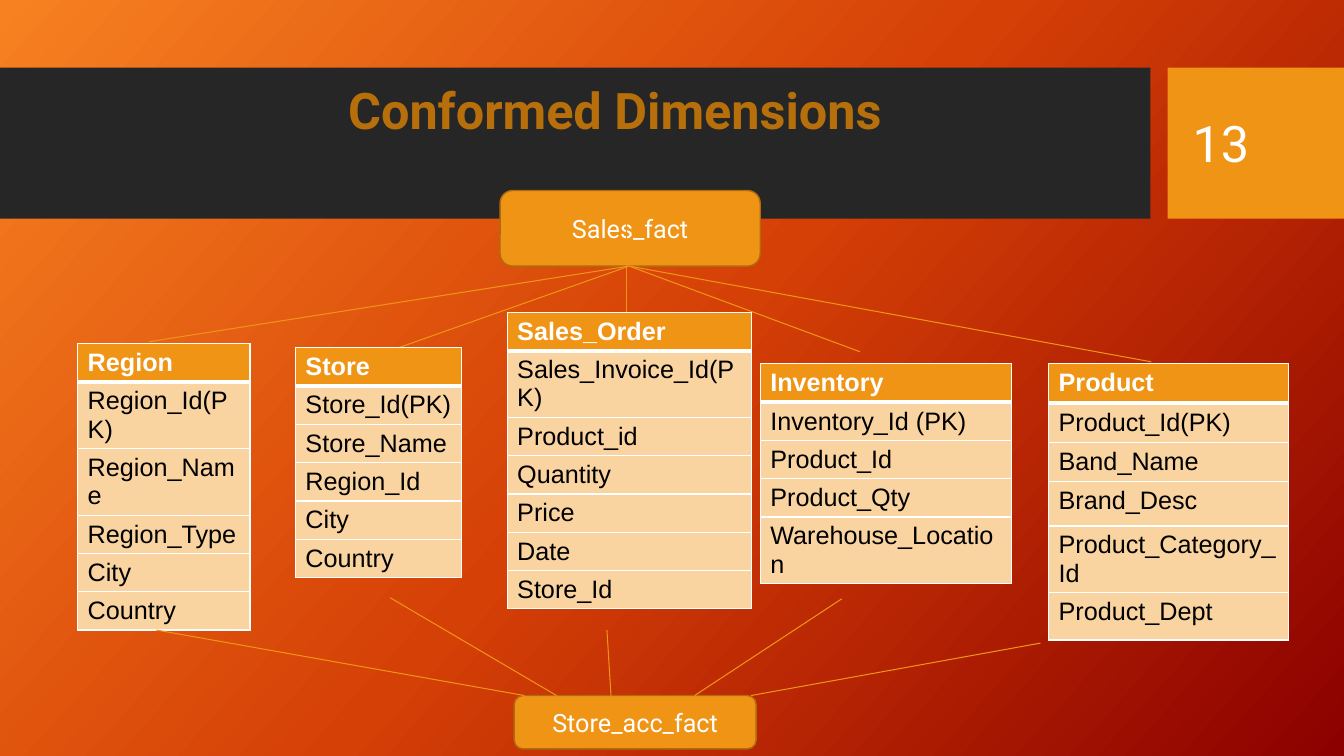
from lxml import etree
from pptx import Presentation
from pptx.dml.color import RGBColor
from pptx.enum.shapes import MSO_CONNECTOR, MSO_SHAPE
from pptx.enum.text import MSO_ANCHOR, PP_ALIGN
from pptx.oxml import parse_xml
from pptx.oxml.ns import nsdecls, qn
from pptx.util import Inches, Pt

COLORS = {
    "amber": "F09415", "amber_line": "AF6C0F", "title": "B76F0B", "band": "262626",
    "cell": "F9D3A0", "white": "FFFFFF", "black": "000000",
}
GRADIENT = [(0, "F78121"), (50, "D54006"), (100, "8C0000")]
GRADIENT_ANGLE = 42
ROW, WRAPPED_ROW = 0.38, 0.66

# left, top, width, column names (header first), heights of rows that differ
DIMENSIONS = [
    (0.77, 3.41, 1.71,
     ["Region", "Region_Id(PK)", "Region_Name", "Region_Type", "City", "Country"],
     {1: WRAPPED_ROW, 2: WRAPPED_ROW}),
    (2.93, 3.45, 1.65,
     ["Store", "Store_Id(PK)", "Store_Name", "Region_Id", "City", "Country"], {}),
    (10.4, 3.61, 2.38,
     ["Product", "Product_Id(PK)", "Band_Name", "Brand_Desc", "Product_Category_Id",
      "Product_Dept"],
     {0: 0.39, 1: 0.39, 2: 0.39, 3: 0.44, 4: WRAPPED_ROW, 5: 0.47}),
    (7.54, 3.61, 2.49,
     ["Inventory", "Inventory_Id (PK)", "Product_Id", "Product_Qty", "Warehouse_Location"],
     {4: WRAPPED_ROW}),
    (5.03, 3.1, 2.42,
     ["Sales_Order", "Sales_Invoice_Id(PK)", "Product_id", "Quantity", "Price", "Date",
      "Store_Id"],
     {1: WRAPPED_ROW}),
]
SALES_HUB = (6.24, 2.64)
SALES_LINKS = [
    (SALES_HUB, (1.48, 3.39)),
    (SALES_HUB, (3.84, 3.49)),
    ((6.21, 1.93), (6.21, 3.1)),
    (SALES_HUB, (8.53, 3.49)),
    (SALES_HUB, (11.42, 3.59)),
]
STORE_LINKS = [
    ((1.55, 6.25), (5.2, 6.9)),
    ((3.87, 5.93), (5.52, 6.9)),
    ((6.02, 6.25), (6.06, 6.9)),
    ((10.32, 6.38), (7.45, 6.9)),
    ((8.35, 5.94), (6.89, 6.9)),
]


def rgb(name):
    return RGBColor.from_string(COLORS[name])


def set_background(slide):
    stops = "".join(
        f'<a:gs pos="{position * 1000}"><a:srgbClr val="{color}"/></a:gs>'
        for position, color in GRADIENT)
    slide.element.cSld.insert(0, parse_xml(
        f'<p:bg {nsdecls("p", "a")}><p:bgPr><a:gradFill rotWithShape="1">'
        f'<a:gsLst>{stops}</a:gsLst><a:lin ang="{GRADIENT_ANGLE * 60000}" scaled="0"/>'
        '</a:gradFill><a:effectLst/></p:bgPr></p:bg>'))


def write(frame, text, size, color, font="Roboto", bold=False, align=PP_ALIGN.LEFT):
    frame.word_wrap = True
    frame.vertical_anchor = MSO_ANCHOR.MIDDLE
    paragraph = frame.paragraphs[0]
    paragraph.text = text
    paragraph.alignment = align
    style_font(paragraph.font, size, color, font, bold)


def style_font(font, size, color, name, bold):
    font.name = name
    font.size = Pt(size)
    font.bold = bold
    font.color.rgb = rgb(color)


def add_text(slide, box, text, **style):
    shape = slide.shapes.add_textbox(*map(Inches, box))
    write(shape.text_frame, text, **style)


def add_block(slide, kind, box, fill):
    shape = slide.shapes.add_shape(kind, *map(Inches, box))
    shape.shadow.inherit = False
    shape.fill.solid()
    shape.fill.fore_color.rgb = rgb(fill)
    shape.line.fill.background()
    return shape


def add_fact(slide, box, text):
    shape = add_block(slide, MSO_SHAPE.ROUNDED_RECTANGLE, box, "amber")
    shape.line.color.rgb = rgb("amber_line")
    shape.line.width = Pt(1)
    write(shape.text_frame, text, size=18, color="white", align=PP_ALIGN.CENTER)


def add_links(slide, links):
    for start, end in links:
        link = slide.shapes.add_connector(
            MSO_CONNECTOR.STRAIGHT, *map(Inches, start + end))
        link.line.color.rgb = rgb("amber")
        link.line.width = Pt(0.75)
        etree.SubElement(link.element.spPr, qn("a:effectLst"))


def set_borders(cell, widths):
    """Draw white borders; widths gives points for left, right, top, bottom."""
    properties = cell._tc.get_or_add_tcPr()
    for side, width in zip("LRTB", widths):
        properties.append(parse_xml(
            f'<a:ln{side} {nsdecls("a")} w="{Pt(width)}"><a:solidFill>'
            f'<a:srgbClr val="{COLORS["white"]}"/></a:solidFill></a:ln{side}>'))


def add_dimension(slide, left, top, width, names, heights):
    table = slide.shapes.add_table(
        len(names), 1, Inches(left), Inches(top), Inches(width),
        Inches(ROW * len(names))).table
    for index, name in enumerate(names):
        header = index == 0
        table.rows[index].height = Inches(heights.get(index, ROW))
        cell = table.cell(index, 0)
        # A tight bottom margin keeps each row at its set height.
        cell.margin_top, cell.margin_bottom = Inches(0.05), Inches(0.01)
        cell.text = name
        # Row heights are measured from the run font.
        style_font(cell.text_frame.paragraphs[0].runs[0].font, 18,
                   "white" if header else "black", "Arial", header)
        set_borders(cell, (1, 1, 3 if index == 1 else 1, 3 if header else 1))
        cell.fill.solid()
        cell.fill.fore_color.rgb = rgb("amber" if header else "cell")


def main():
    presentation = Presentation()
    presentation.slide_width = Inches(13.33)
    presentation.slide_height = Inches(7.5)
    slide = presentation.slides.add_slide(presentation.slide_layouts[6])

    set_background(slide)
    add_block(slide, MSO_SHAPE.RECTANGLE, (0, 0.67, 11.41, 1.5), "band")
    add_block(slide, MSO_SHAPE.RECTANGLE, (11.58, 0.67, 1.75, 1.5), "amber")
    add_text(slide, (0.35, 0.71, 11.5, 0.75), "Conformed Dimensions", size=36,
             color="title", bold=True, align=PP_ALIGN.CENTER)
    add_text(slide, (11.73, 0.82, 1.26, 1.19), "13", size=36, color="white")
    add_fact(slide, (4.96, 1.89, 2.58, 0.75), "Sales_fact")
    add_links(slide, SALES_LINKS)
    add_fact(slide, (5.1, 6.9, 2.4, 0.53), "Store_acc_fact")
    for dimension in DIMENSIONS:
        add_dimension(slide, *dimension)
    add_links(slide, STORE_LINKS)
    presentation.save("out.pptx")


if __name__ == "__main__":
    main()
